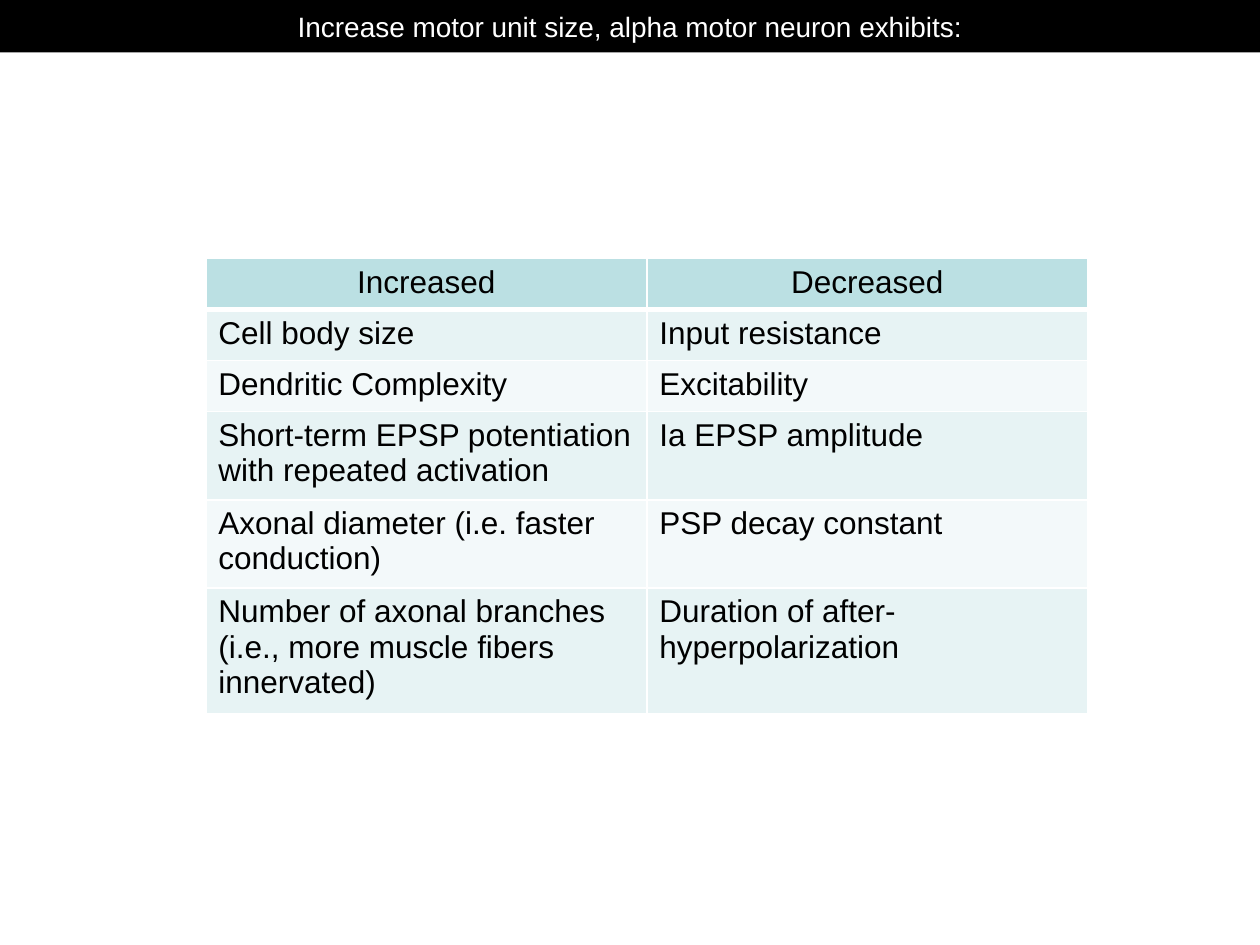
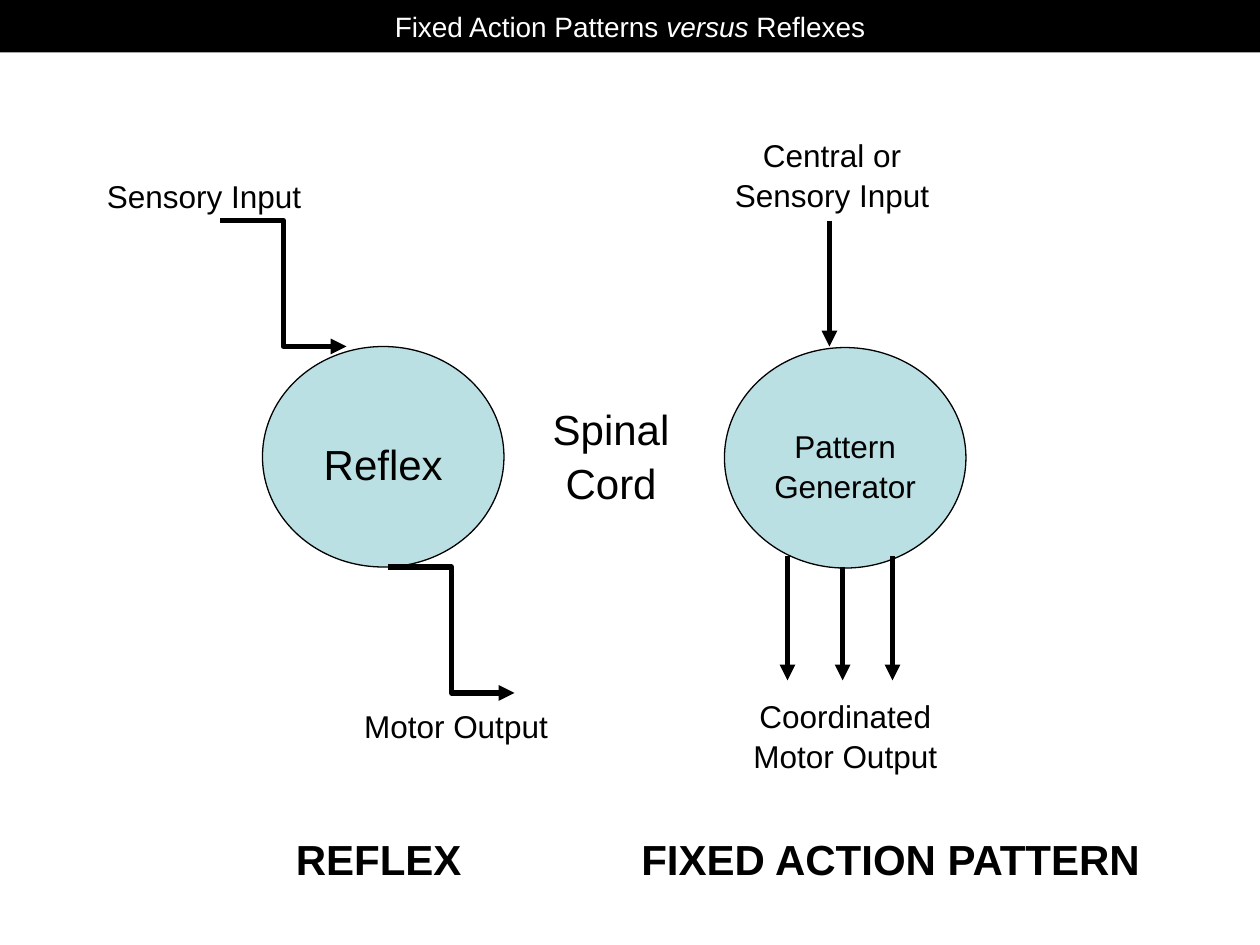
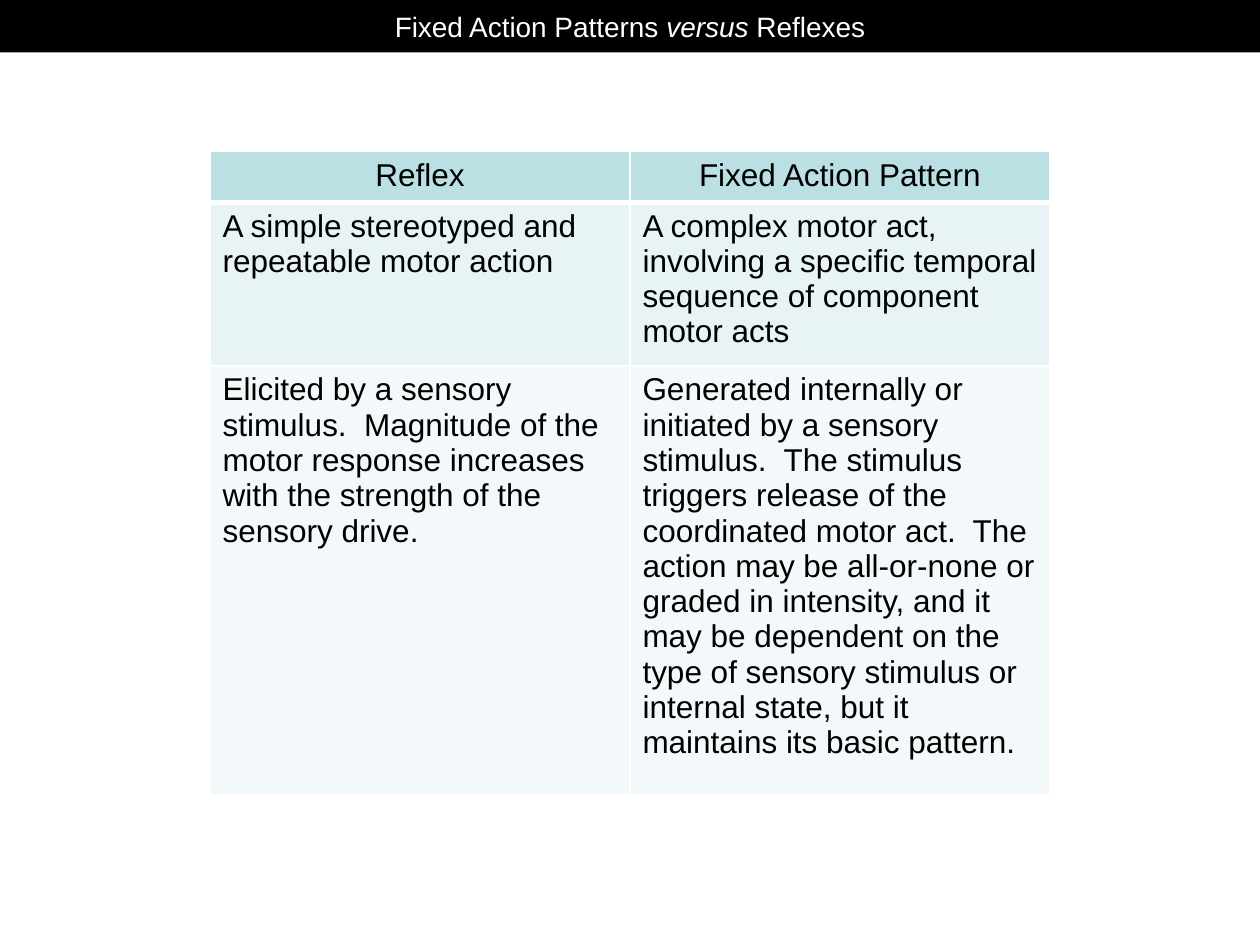
from pptx import Presentation
from pptx.dml.color import RGBColor as Rgb
from pptx.enum.shapes import MSO_CONNECTOR as Link, MSO_SHAPE as Form
from pptx.enum.text import MSO_ANCHOR as Anchor, PP_ALIGN as Align
from pptx.oxml.ns import qn
from pptx.util import Emu, Inches, Pt
from lxml.etree import SubElement as Sub

WIDE, HIGH = Inches(10), Inches(7.5)
COLS = 120
UNIT = WIDE / COLS
HUES = {"ink": "000000", "paper": "FFFFFF", "aqua": "BBE0E3",
        "mist": "E7F3F4", "pale": "F3F9FA"}
BODY = {"name": "Arial", "size": Pt(18)}
LARGE = {**BODY, "size": Pt(24)}
LABEL = {**LARGE, "bold": True}
TITLE = {**BODY, "size": Pt(16)}
LEAD = 1.07
ROW = 4.87

PATTERNS = [("Fixed Action Patterns ", False), ("versus", True), (" Reflexes", False)]
TRAITS = [
    ("Increased", "Decreased"),
    ("Cell body size", "Input resistance"),
    ("Dendritic Complexity", "Excitability"),
    ("Short-term EPSP potentiation with repeated activation", "Ia EPSP amplitude"),
    ("Axonal diameter (i.e. faster conduction)", "PSP decay constant"),
    ("Number of axonal branches (i.e., more muscle fibers innervated)",
     "Duration of after-hyperpolarization"),
]
ACTS = [
    ("Reflex", "Fixed Action Pattern"),
    ("A simple stereotyped and repeatable motor action",
     "A complex motor act, involving a specific temporal sequence of component motor acts"),
    ("Elicited by a sensory stimulus.  Magnitude of the motor response increases "
     "with the strength of the sensory drive.",
     "Generated internally or initiated by a sensory stimulus.  The stimulus triggers "
     "release of the coordinated motor act.  The action may be all-or-none or graded in "
     "intensity, and it may be dependent on the type of sensory stimulus or internal "
     "state, but it maintains its basic pattern."),
]


def grid(*spots):
    return [Emu(round(spot * UNIT)) for spot in spots]


def hue(name):
    return Rgb.from_string(HUES[name])


def paint(fill, name):
    fill.solid()
    fill.fore_color.rgb = hue(name)


def assign(item, form):
    for key, value in form.items():
        setattr(item, key, value)


def write(frame, runs, form, tint="ink", align=Align.CENTER, lead=None):
    para = frame.paragraphs[0]
    assign(para, {"alignment": align, "line_spacing": lead})
    for words, slant in [(runs, False)] if isinstance(runs, str) else runs:
        run = para.add_run()
        run.text = words
        assign(run.font, {**form, "italic": slant})
        run.font.color.rgb = hue(tint)


def add_form(slide, kind, box, tint):
    shape = slide.shapes.add_shape(kind, *grid(*box))
    shape.shadow.inherit = False
    paint(shape.fill, tint)
    return shape


def add_page(deck, title):
    slide = deck.slides.add_slide(deck.slide_layouts[6])
    band = add_form(slide, Form.RECTANGLE, (0, 0, COLS, 5), "ink")
    band.line.fill.background()
    band.text_frame.vertical_anchor = Anchor.MIDDLE
    write(band.text_frame, title, TITLE, "paper")
    return slide


def add_node(slide, left, top, words, form, drop):
    node = add_form(slide, Form.OVAL, (left, top, 23, 21), "aqua")
    node.line.color.rgb = hue("ink")
    node.line.width = Pt(0.75)
    assign(node.text_frame, {"vertical_anchor": Anchor.TOP, "word_wrap": True,
                             "margin_top": Inches(drop)})
    write(node.text_frame, words, form, lead=LEAD)


def add_text(slide, box, words, form=BODY, wrap=True):
    frame = slide.shapes.add_textbox(*grid(*box)).text_frame
    frame.word_wrap = wrap
    write(frame, words, form, align=Align.CENTER if wrap else Align.LEFT, lead=LEAD)


def add_arrow(slide, ends, kind=Link.STRAIGHT):
    arrow = slide.shapes.add_connector(kind, *grid(*ends))
    arrow.line.color.rgb = hue("ink")
    arrow.line.width = Pt(3)
    Sub(arrow.line._get_or_add_ln(), qn("a:tailEnd"), type="triangle")
    Sub(arrow._element.spPr, qn("a:effectLst"))


def edge(cell, side, width):
    line = Sub(cell._tc.get_or_add_tcPr(), qn("a:ln" + side), w=str(Pt(width)))
    Sub(Sub(line, qn("a:solidFill")), qn("a:srgbClr"), val=HUES["paper"])


def add_grid(slide, left, top, wide, rows, highs):
    size = len(rows), len(rows[0])
    table = slide.shapes.add_table(*size, *grid(left, top, wide * size[1], sum(highs))).table
    for col in table.columns:
        col.width = grid(wide)[0]
    for at, (words, high) in enumerate(zip(rows, highs)):
        table.rows[at].height = grid(high)[0]
        tint = ("mist" if at % 2 else "pale") if at else "aqua"
        for cell, text in zip(table.rows[at].cells, words):
            for side in "LRTB":
                edge(cell, side, 3 if side == "B" and not at else 1)
            paint(cell.fill, tint)
            write(cell.text_frame, text, BODY, align=Align.LEFT if at else Align.CENTER)


def add_paths(slide):
    add_node(slide, 25, 33, "Reflex", LARGE, 0.45)
    add_node(slide, 69, 33.1, "Pattern Generator", BODY, 0.35)
    for left, top in ((21, 21), (37, 54)):
        add_arrow(slide, (left, top, left + 12, top + 12), Link.ELBOW)
    for left, top, end in ((79, 21, 33), (75, 53, 64.8), (80.25, 54, 64.8), (85, 53, 64.8)):
        add_arrow(slide, (left, top, left, end))
    add_text(slide, (9, 16, 21.1, 4.8), "Sensory Input", wrap=False)
    add_text(slide, (33.5, 66.5, 20.2, 4.8), "Motor Output", wrap=False)
    add_text(slide, (67.5, 65.5, 26, 8.5), "Coordinated Motor Output")
    add_text(slide, (66.25, 12.1, 26, 8.5), "Central or Sensory Input")
    add_text(slide, (27, 78.5, 18.4, 6.1), "REFLEX", LABEL, False)
    add_text(slide, (59.9, 78.5, 50.3, 6.1), "FIXED ACTION PATTERN", LABEL, False)
    add_text(slide, (49.8, 37.5, 16.8, 10.9), "Spinal Cord", LARGE)


def main():
    deck = Presentation()
    assign(deck, {"slide_width": WIDE, "slide_height": HIGH})
    traits = add_page(deck, "Increase motor unit size, alpha motor neuron exhibits:")
    add_grid(traits, 19.6, 24.6, 42, TRAITS, [ROW] * 3 + [8.4] * 2 + [12])
    add_paths(add_page(deck, PATTERNS))
    add_grid(add_page(deck, PATTERNS), 20, 14.4, 40, ACTS, [ROW, 15.6, 40.8])
    deck.save("out.pptx")


if __name__ == "__main__":
    main()
